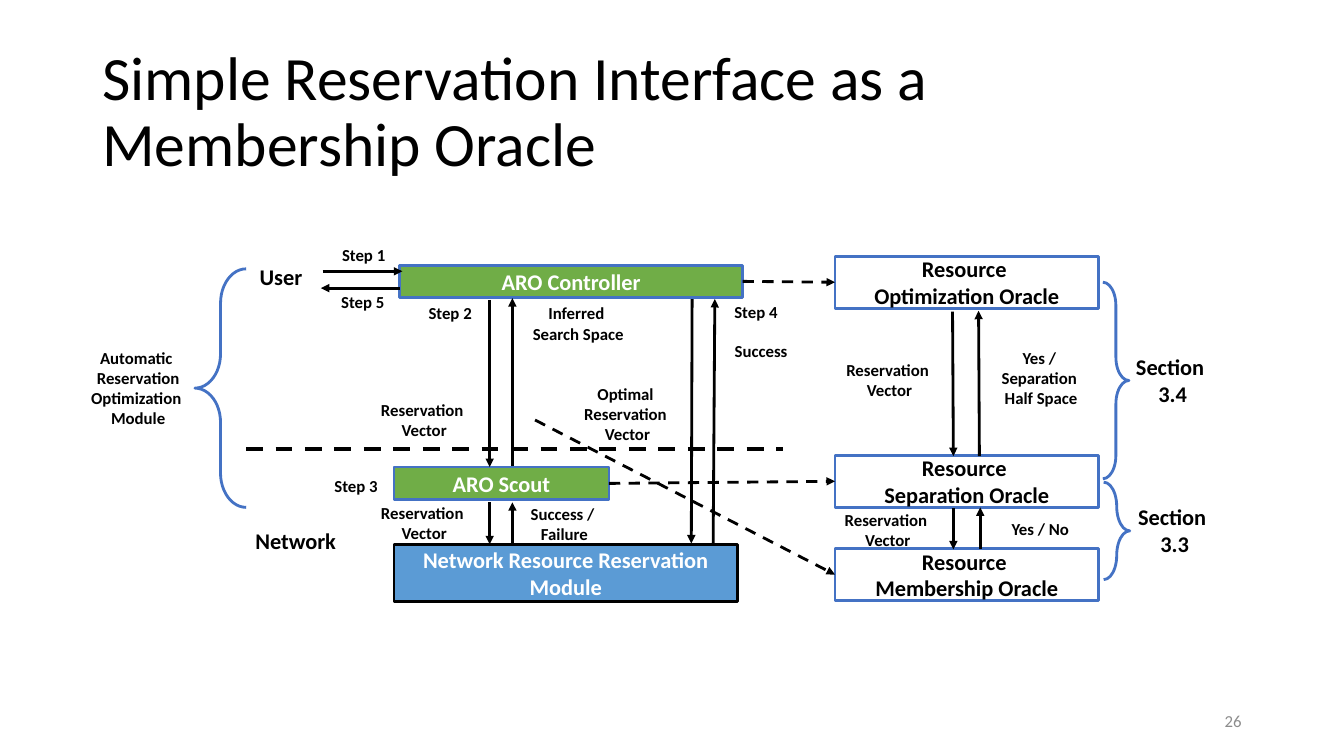
from pptx import Presentation
from pptx.dml.color import RGBColor
from pptx.enum.dml import MSO_LINE
from pptx.enum.shapes import MSO_CONNECTOR, MSO_SHAPE
from pptx.enum.text import MSO_ANCHOR, PP_ALIGN
from pptx.oxml.ns import qn
from pptx.util import Inches, Pt
from lxml.etree import SubElement

BLACK, WHITE, GREY = "000000", "FFFFFF", "8C8C8C"
BLUE, GREEN, SKY = "4472C4", "70AD47", "5B9BD5"
LEFT, RIGHT = 1, 3


def paint(value):
    return RGBColor.from_string(value)


def write(shape, text, size=12, color=BLACK, bold=True, align=PP_ALIGN.CENTER,
          anchor=MSO_ANCHOR.TOP, spacing=None):
    frame = shape.text_frame
    frame.word_wrap = True
    frame.vertical_anchor = anchor
    for index, line in enumerate(text.split("\n")):
        para = frame.paragraphs[0] if index == 0 else frame.add_paragraph()
        para.alignment = align
        para.line_spacing = spacing
        run = para.add_run()
        run.text = line
        run.font.name = "Calibri"
        run.font.size = Pt(size)
        run.font.bold = bold
        run.font.color.rgb = paint(color)


class Canvas:
    columns, rows = 80, 45

    def __init__(self, deck):
        self.wide = deck.slide_width / self.columns
        self.high = deck.slide_height / self.rows
        self.shapes = deck.slides.add_slide(deck.slide_layouts[6]).shapes

    def place(self, *cells):
        units = (self.wide, self.high) * 2
        return [round(cell * unit) for cell, unit in zip(cells, units)]

    def text(self, area, words, **style):
        write(self.shapes.add_textbox(*self.place(*area)), words, **style)

    def shape(self, kind, area, fill=None, edge=BLUE):
        item = self.shapes.add_shape(kind, *self.place(*area))
        item.shadow.inherit = False
        if fill:
            item.fill.solid()
            item.fill.fore_color.rgb = paint(fill)
        else:
            item.fill.background()
        item.line.color.rgb = paint(edge)
        item.line.width = Pt(2)
        return item

    def box(self, area, words, fill=None, edge=BLUE):
        item = self.shape(MSO_SHAPE.RECTANGLE, area, fill, edge)
        write(item, words, size=16, color=WHITE if fill else BLACK,
              anchor=MSO_ANCHOR.MIDDLE)
        return item

    def brace(self, area, curve, point, turn=0):
        item = self.shape(MSO_SHAPE.RIGHT_BRACE, area)
        item.adjustments[0] = curve
        item.adjustments[1] = point
        item.rotation = turn

    def line(self, start, end, width=2, dash=False, arrow=True,
             source=None, target=None):
        item = self.shapes.add_connector(
            MSO_CONNECTOR.STRAIGHT, *self.place(*start, *end))
        if source:
            item.begin_connect(source, RIGHT)
        if target:
            item.end_connect(target, LEFT)
        item.line.color.rgb = paint(BLACK)
        item.line.width = Pt(width)
        if dash:
            item.line.dash_style = MSO_LINE.DASH
        props = item.element.spPr
        if arrow:
            SubElement(props.find(qn("a:ln")), qn("a:tailEnd"), type="triangle")
        SubElement(props, qn("a:effectLst"))


def main():
    deck = Presentation()
    deck.slide_width, deck.slide_height = Inches(13.333), Inches(7.5)
    page = Canvas(deck)

    page.text((5.5, 2.4, 69, 8.7),
              "Simple Reservation Interface as a Membership Oracle",
              size=44, bold=False, align=PP_ALIGN.LEFT,
              anchor=MSO_ANCHOR.MIDDLE, spacing=0.9)
    page.text((56.5, 41.7, 18, 2.4), "26", color=GREY, bold=False,
              align=PP_ALIGN.RIGHT, anchor=MSO_ANCHOR.MIDDLE)

    page.box((23.45, 32.4, 20.45, 3.4), "Network Resource Reservation Module",
             SKY, BLACK)
    control = page.box((23.8, 15.8, 20.4, 1.9), "ARO Controller", GREEN)
    scout = page.box((23.45, 27.8, 12.8, 1.95), "ARO Scout", GREEN)
    oracles = [page.box((49.7, top, 15.7, 3.1), f"Resource \n{name} Oracle")
               for name, top in (("Optimization", 15.25), ("Separation", 27.1),
                                 ("Membership", 32.65))]

    page.line((14.65, 26.75), (46.6, 26.75), width=3, dash=True, arrow=False)
    for start, end in (
        ((19.2, 16.15), (23.95, 16.15)),
        ((23.8, 17.15), (19.1, 17.15)),
        ((29.15, 17.85), (29.15, 27.8)),
        ((30.5, 27.75), (30.5, 17.75)),
        ((29.15, 29.9), (29.15, 32.4)),
        ((30.5, 32.4), (30.5, 29.9)),
        ((41.2, 17.8), (41.15, 32.35)),
        ((42.45, 32.35), (42.55, 17.8)),
        ((56.7, 18.55), (56.75, 27.15)),
        ((58.3, 27.15), (58.25, 18.5)),
        ((56.75, 30.25), (56.75, 32.7)),
        ((58.35, 32.7), (58.35, 30.2)),
    ):
        page.line(start, end)
    for start, source, target in zip(
            ((44.2, 16.75), (36.25, 28.78), (31.85, 25)),
            (control, scout, None), oracles):
        page.line(start, (49.7, 30), dash=True, source=source, target=target)

    for step, left, top in ((1, 18.65, 14.3), (2, 23.8, 17.75), (3, 18.2, 28),
                            (4, 42, 17.65), (5, 18.6, 17.05)):
        page.text((left, top, 6, 1.8), f"Step {step}")
    for left, top, width in ((18.7, 23.5, 13.1), (19.75, 29.65, 11),
                             (46.4, 21.1, 13.1), (46.3, 30.05, 13.1)):
        page.text((left, top, width, 3), "Reservation \nVector")
    for area, words in (
        ((28.6, 29.7, 10, 3), "Success / \nFailure"),
        ((29.8, 17.75, 9.25, 3), "Inferred \nSearch Space"),
        ((30.8, 22.55, 13.1, 4.25), "Optimal \nReservation \nVector"),
        ((40.3, 20, 10, 1.8), "Success"),
        ((4, 20.4, 8.45, 5.45),
         "Automatic \nReservation Optimization \nModule"),
        ((57.05, 20.4, 9.85, 4.25), "Yes / \nSeparation \nHalf Space"),
        ((57.3, 30.6, 9.25, 1.8), "Yes / No"),
    ):
        page.text(area, words)
    for area, words in (((11.65, 15.5, 10.15, 1.9), "User"),
                        ((13.5, 31.25, 8.2, 1.9), "Network"),
                        ((65.3, 29.65, 9.25, 3.85), "Section \n3.3"),
                        ((66.35, 20.7, 6.9, 3.85), "Section \n3.4")):
        page.text(area, words, size=16, anchor=MSO_ANCHOR.MIDDLE)

    page.brace((11.6, 16, 3.05, 14.2), 0.67, 0.5, turn=180)
    page.brace((65.65, 16.8, 1.55, 11.7), 0.9, 0.5)
    page.brace((65.7, 28.7, 1.55, 5.8), 2.3, 0.5)

    deck.save("out.pptx")


if __name__ == "__main__":
    main()
